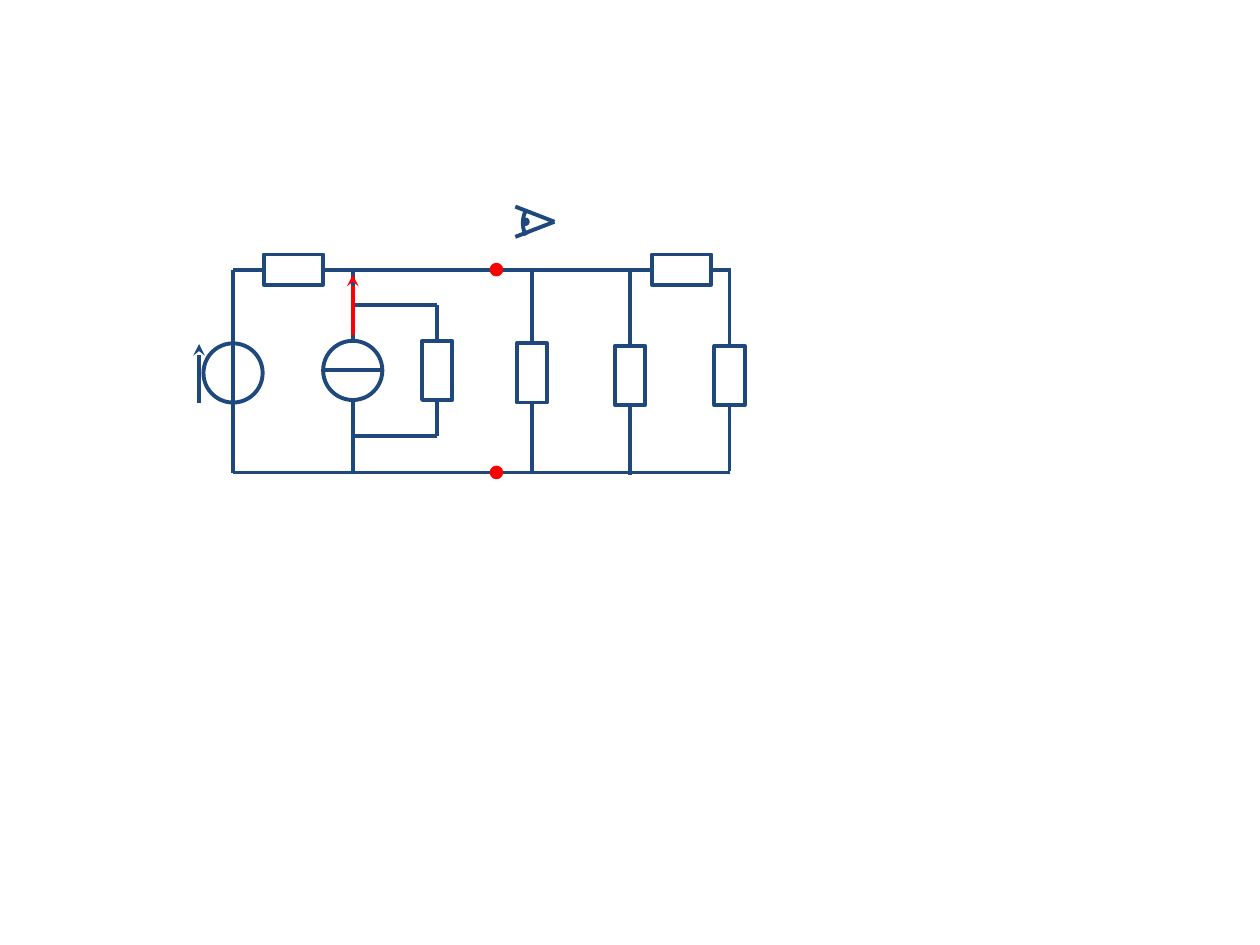
from typing import NamedTuple

from lxml import etree
from pptx import Presentation
from pptx import util as u
from pptx.dml.color import RGBColor
from pptx.enum import shapes as kinds
from pptx.oxml import ns

BLUE, RED, WHITE = "1F497D", "FF0000", "FFFFFF"
SHAPE = kinds.MSO_SHAPE
TOP, BOTTOM = 2.14, 3.75  # rails of the circuit
LEFT, SOURCE, INNER, RIGHT = 1.85, 2.8, 3.47, 5.79  # branch positions
LONG, SHORT = 0.47, 0.24  # resistor sides, LONG is also the source diameter


class Wire(NamedTuple):
    x1: float
    y1: float
    x2: float
    y2: float
    color: str = BLUE
    arrow: bool = False


class Resistor(NamedTuple):
    x: float
    y: float
    rotation: int = 90


class Disc(NamedTuple):
    x: float
    y: float
    diameter: float
    fill: str
    line: str
    weight: float


def rgb(color: str) -> RGBColor:
    return RGBColor.from_string(color)


def draw_wire(slide, wire: Wire) -> None:
    line = slide.shapes.add_connector(
        kinds.MSO_CONNECTOR.STRAIGHT,
        *(u.Inches(v) for v in (wire.x1, wire.y1, wire.x2, wire.y2)))
    line.line.color.rgb = rgb(wire.color)
    line.line.width = u.Pt(2.25)
    properties = line._element.spPr
    if wire.arrow:
        etree.SubElement(line.line._get_or_add_ln(), ns.qn("a:tailEnd"), type="stealth")
    etree.SubElement(properties, ns.qn("a:effectLst"))


def draw_centred(slide, preset, x: float, y: float, width: float, height: float,
                 fill: str | None, line: str = BLUE, weight: float = 2.25):
    part = slide.shapes.add_shape(
        preset, u.Inches(x - width / 2), u.Inches(y - height / 2),
        u.Inches(width), u.Inches(height))
    part.shadow.inherit = False
    if fill:
        part.fill.solid()
        part.fill.fore_color.rgb = rgb(fill)
    else:
        part.fill.background()
    part.line.color.rgb = rgb(line)
    part.line.width = u.Pt(weight)
    return part


def draw_disc(slide, disc: Disc) -> None:
    draw_centred(slide, SHAPE.OVAL, disc.x, disc.y, disc.diameter, disc.diameter,
                 disc.fill, disc.line, disc.weight)


def draw_resistor(slide, resistor: Resistor) -> None:
    box = draw_centred(slide, SHAPE.RECTANGLE, resistor.x, resistor.y, LONG, SHORT, WHITE)
    box.rotation = resistor.rotation


SOURCES = [
    Disc(LEFT, 2.96, LONG, WHITE, BLUE, 2.25),
    Disc(SOURCE, 2.94, LONG, WHITE, BLUE, 2.25),
]

WIRES = [
    # Rails
    Wire(LEFT, TOP, RIGHT, TOP),
    Wire(RIGHT, BOTTOM, LEFT, BOTTOM),
    # Voltage source and its direction
    Wire(LEFT, BOTTOM, LEFT, TOP),
    Wire(1.58, 3.2, 1.58, 2.73, arrow=True),
    # Current source with parallel branch
    Wire(2.56, 2.94, 3.03, 2.94),
    Wire(SOURCE, TOP, SOURCE, 2.71),
    Wire(SOURCE, BOTTOM, SOURCE, 3.18),
    Wire(SOURCE, 2.42, INNER, 2.42),
    Wire(SOURCE, 3.46, INNER, 3.46),
    Wire(INNER, 3.46, INNER, 2.42),
    # Load branches
    Wire(4.22, BOTTOM, 4.22, TOP),
    Wire(5, 3.77, 5, 2.16),
    Wire(RIGHT, 3.74, RIGHT, 2.13),
    # Source current
    Wire(SOURCE, 2.66, SOURCE, 2.18, RED, True),
]

RESISTORS = [
    Resistor(2.33, TOP, 0),
    Resistor(INNER, 2.94),
    Resistor(4.22, 2.96),
    Resistor(5, 2.98),
    Resistor(RIGHT, 2.98),
    Resistor(5.41, 2.14, 0),
]

TERMINALS = [Disc(3.94, y, 0.08, RED, RED, 2) for y in (TOP, BOTTOM)]


def draw_eye(slide) -> None:
    for lid_y in (1.64, 1.88):
        draw_wire(slide, Wire(4.09, lid_y, 4.4, 1.76))
    eyeball = draw_centred(slide, SHAPE.ARC, 4.37, 1.77, 0.44, 0.44, None)
    eyeball.adjustments[0] = 92.06
    eyeball.adjustments[1] = 123.17
    draw_disc(slide, Disc(4.17, 1.76, 0.04, BLUE, BLUE, 2))


def main() -> None:
    deck = Presentation()
    deck.slide_width, deck.slide_height = u.Inches(10), u.Inches(7.5)
    slide = deck.slides.add_slide(deck.slide_layouts[6])
    for source in SOURCES:
        draw_disc(slide, source)
    for wire in WIRES:
        draw_wire(slide, wire)
    for resistor in RESISTORS:
        draw_resistor(slide, resistor)
    for terminal in TERMINALS:
        draw_disc(slide, terminal)
    draw_eye(slide)
    deck.save("out.pptx")


if __name__ == "__main__":
    main()
